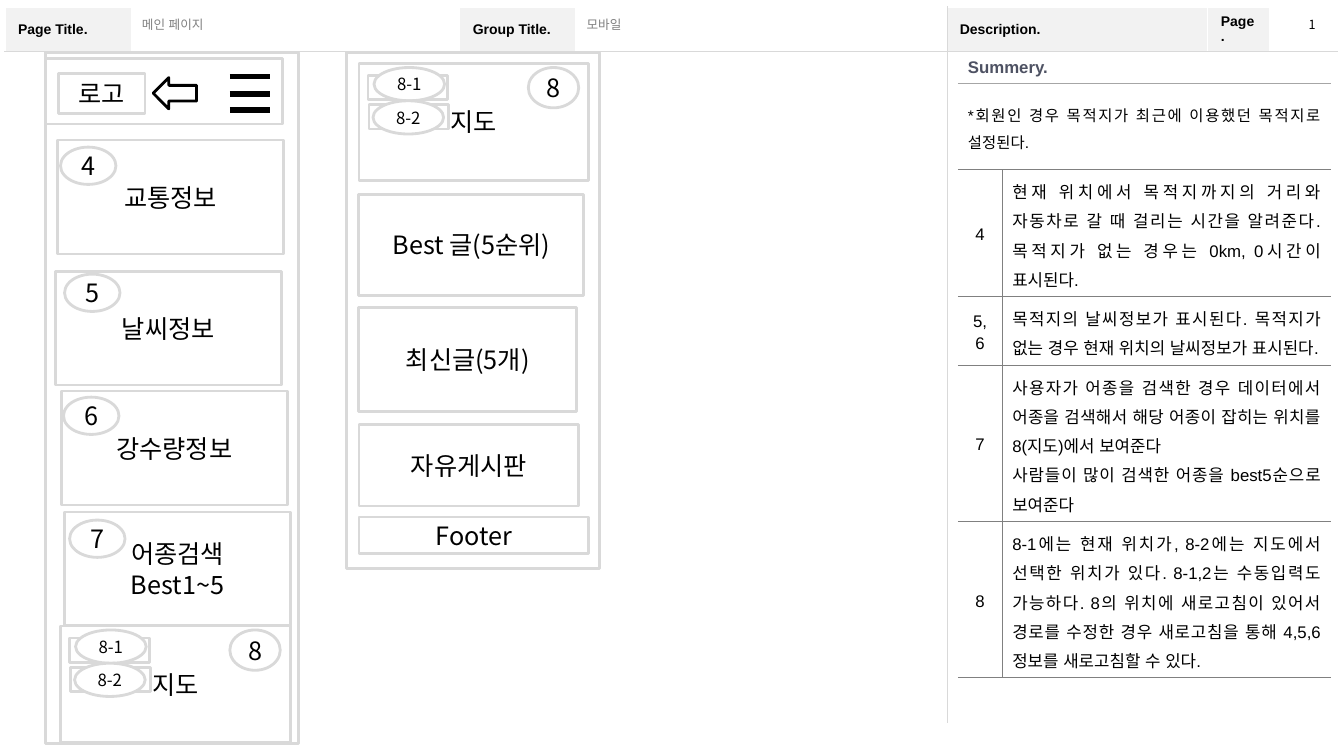
from lxml.etree import SubElement
from pptx import Presentation
from pptx.dml.color import RGBColor
from pptx.enum.lang import MSO_LANGUAGE_ID
from pptx.enum.shapes import MSO_CONNECTOR, MSO_SHAPE
from pptx.enum.text import MSO_ANCHOR, PP_ALIGN
from pptx.oxml.ns import qn
from pptx.util import Emu, Pt

RECT, OVAL, ARROW = MSO_SHAPE.RECTANGLE, MSO_SHAPE.OVAL, MSO_SHAPE.LEFT_ARROW
LEFT, CENTER, FULL = PP_ALIGN.LEFT, PP_ALIGN.CENTER, PP_ALIGN.JUSTIFY
MIDDLE, TOP = MSO_ANCHOR.MIDDLE, MSO_ANCHOR.TOP
STRAIGHT = MSO_CONNECTOR.STRAIGHT
KOREAN = MSO_LANGUAGE_ID.KOREAN

SCALE = 9144  # EMU per px, 100 px to the inch
SANS, HANGUL = "Arial", "Noto Sans CJK KR"
BLACK, WHITE, PALE = "000000", "FFFFFF", "F2F2F2"
EDGE, GRAY, SILVER, SLATE = "D9D9D9", "808080", "A6A6A6", "4E5263"


def px(n):
    return Emu(n * SCALE)


def color(code):
    return RGBColor.from_string(code)


class Page:
    def __init__(self, deck):
        self.slide = deck.slides.add_slide(deck.slide_layouts[6])
        self.shapes = self.slide.shapes

    def text(self, frame, text, size, face=HANGUL, ink=BLACK, bold=False,
             align=LEFT, space=None):
        frame.text = text
        for para in frame.paragraphs:
            para.alignment = align
            para.line_spacing = space
            font = para.font
            font.name, font.size, font.bold = face, Pt(size), bold
            font.color.rgb = color(ink)
            font.language_id = KOREAN
            props = para._p.pPr.find(qn("a:defRPr"))
            SubElement(props, qn("a:ea"), typeface=HANGUL)

    def shape(self, kind, x, y, w, h, text="", size=18, line=EDGE):
        item = self.shapes.add_shape(kind, px(x), px(y), px(w), px(h))
        item.shadow.inherit = False
        item.fill.solid()
        item.fill.fore_color.rgb = color(WHITE)
        item.line.color.rgb = color(line)
        item.line.width = Pt(2)
        if text:
            frame = item.text_frame
            frame.vertical_anchor = MIDDLE
            frame.margin_left = frame.margin_right = 0
            self.text(frame, text, size, align=CENTER)

    def label(self, x, y, w, h, text, wrap=True, anchor=MIDDLE, **style):
        frame = self.shapes.add_textbox(px(x), px(y), px(w), px(h)).text_frame
        frame.word_wrap = wrap
        frame.vertical_anchor = anchor
        self.text(frame, text, 9, **style)

    def bar(self, x, y, w):
        line = self.shapes.add_connector(STRAIGHT, px(x), px(y), px(x + w), px(y))
        line.line.color.rgb = color(BLACK)
        line.line.width = Pt(4)
        SubElement(line._element.spPr, qn("a:effectLst"))

    def table(self, x, y, cols, rows):
        frame = self.shapes.add_table(len(rows), len(cols), px(x), px(y),
                                      px(sum(cols)), px(sum(rows)))
        grid = frame.table
        grid.first_row = grid.horz_banding = False
        for col, w in zip(grid.columns, cols):
            col.width = px(w)
        for row, h in zip(grid.rows, rows):
            row.height = px(h)
        return grid

    def cell(self, cell, edges, fill=None):
        """Edges are colours in the order left, right, top, bottom."""
        props = cell._tc.get_or_add_tcPr()
        for side, code in zip("LRTB", edges):
            width = Pt(1) if code == WHITE else Pt(0.25)
            line = SubElement(props, qn("a:ln" + side), w=str(width))
            if code:
                paint = SubElement(line, qn("a:solidFill"))
                SubElement(paint, qn("a:srgbClr"), val=code)
            else:
                SubElement(line, qn("a:noFill"))
        if fill:
            cell.fill.solid()
            cell.fill.fore_color.rgb = color(fill)
        else:
            cell.fill.background()
        cell.vertical_anchor = MIDDLE

    def header(self, titles):
        grid = self.table(5, 7, [126, 325, 115, 368, 259, 61, 68], [44, 667])
        grid.cell(1, 0).merge(grid.cell(1, 3))
        grid.cell(1, 4).merge(grid.cell(1, 6))
        for c, title in enumerate(titles):
            left = EDGE if c == 4 else WHITE
            right = EDGE if c == 3 else WHITE
            top = grid.cell(0, c)
            self.cell(top, (left, right, WHITE, EDGE), PALE if title else None)
            top.margin_left = top.margin_right = px(13)
            top.margin_top = top.margin_bottom = px(6)
            self.text(top.text_frame, title, 10, SANS, bold=True)
            right = EDGE if c in (0, 3) else WHITE
            self.cell(grid.cell(1, c), (left, right, EDGE, WHITE))

    def summary(self, title, intro, notes):
        grid = self.table(950, 52, [44, 326], [28, 86, 126, 68, 155, 155])
        heads = [
            (title, (None, None, None, SILVER), WHITE,
             dict(size=12, ink=SLATE, bold=True)),
            (intro, (None, None, SILVER, GRAY), None,
             dict(size=11, align=FULL, space=1.2)),
        ]
        for r, (text, edges, fill, style) in enumerate(heads):
            grid.cell(r, 0).merge(grid.cell(r, 1))
            for c in range(2):
                self.cell(grid.cell(r, c), edges, fill)
            self.text(grid.cell(r, 0).text_frame, text, face=SANS, **style)
        for r, note in enumerate(notes, len(heads)):
            for c, text in enumerate(note):
                cell = grid.cell(r, c)
                sides = (GRAY, None) if c else (None, GRAY)
                self.cell(cell, sides + (GRAY, GRAY))
                self.text(cell.text_frame, text, 12, SANS,
                          align=FULL if c else CENTER, space=1.2)

    def map(self, x, y):
        self.shape(RECT, x, y, 228, 116, "지도")
        self.shape(RECT, x + 9, y + 12, 79, 24)
        self.shape(RECT, x + 10, y + 41, 79, 24)
        self.shape(OVAL, x + 15, y + 4, 70, 33, "8-1", 12)
        self.shape(OVAL, x + 168, y + 4, 50, 40, "8")
        self.shape(OVAL, x + 14, y + 37, 70, 33, "8-2", 12)


def main():
    deck = Presentation()
    deck.slide_width, deck.slide_height = px(1333), px(750)
    page = Page(deck)

    # Header band
    page.header(["Page Title.", "", "Group Title.", "", "Description.", "Page.", ""])
    page.label(131, 12, 324, 24, "메인 페이지", face=SANS, ink=GRAY)
    page.label(572, 12, 364, 24, "모바일", face=SANS, ink=GRAY)
    page.label(1288, 12, 27, 25, "1", wrap=False, anchor=TOP)

    # Description column
    page.summary(
        "Summery.",
        "*회원인 경우 목적지가 최근에 이용했던 목적지로 설정된다.",
        [
            ("4", "현재 위치에서 목적지까지의 거리와 자동차로 갈 때 걸리는 시간을 "
                  "알려준다. 목적지가 없는 경우는 0km, 0시간이 표시된다."),
            ("5, 6", "목적지의 날씨정보가 표시된다. 목적지가 없는 경우 현재 위치의 "
                     "날씨정보가 표시된다."),
            ("7", "사용자가 어종을 검색한 경우 데이터에서 어종을 검색해서 해당 어종이 "
                  "잡히는 위치를 8(지도)에서 보여준다\n"
                  "사람들이 많이 검색한 어종을 best5순으로 보여준다"),
            ("8", "8-1에는 현재 위치가, 8-2에는 지도에서 선택한 위치가 있다. "
                  "8-1,2는 수동입력도 가능하다. 8의 위치에 새로고침이 있어서 경로를 "
                  "수정한 경우 새로고침을 통해 4,5,6 정보를 새로고침할 수 있다."),
        ])

    # First phone: top bar with logo, back arrow and menu
    page.shape(RECT, 45, 52, 251, 686)
    page.shape(RECT, 45, 58, 235, 65)
    page.shape(RECT, 58, 73, 86, 40, "로고")
    page.shape(ARROW, 152, 77, 43, 31, line=BLACK)
    for y in (76, 93, 109):
        page.bar(228, y, 40)

    # First phone: numbered cards and map
    cards = [
        (57, 139, "교통정보", 60, 146),
        (55, 269, "날씨정보", 64, 272),
        (61, 388, "강수량정보", 63, 394),
        (64, 508, "어종검색\nBest1~5", 69, 516),
    ]
    for num, (x, y, text, left, top) in enumerate(cards, 4):
        page.shape(RECT, x, y, 224, 113, text)
        page.shape(OVAL, left, top, 55, 37, str(num))
    page.map(60, 621)

    # Second phone: map, boards and footer
    page.shape(RECT, 344, 52, 251, 512)
    page.map(356, 63)
    boards = [
        (193, 223, 100, "Best 글(5순위)"),
        (305, 216, 103, "최신글(5개)"),
        (421, 218, 81, "자유게시판"),
        (513, 228, 36, "Footer"),
    ]
    for y, w, h, text in boards:
        page.shape(RECT, 356, y, w, h, text)

    deck.save("out.pptx")


if __name__ == "__main__":
    main()
